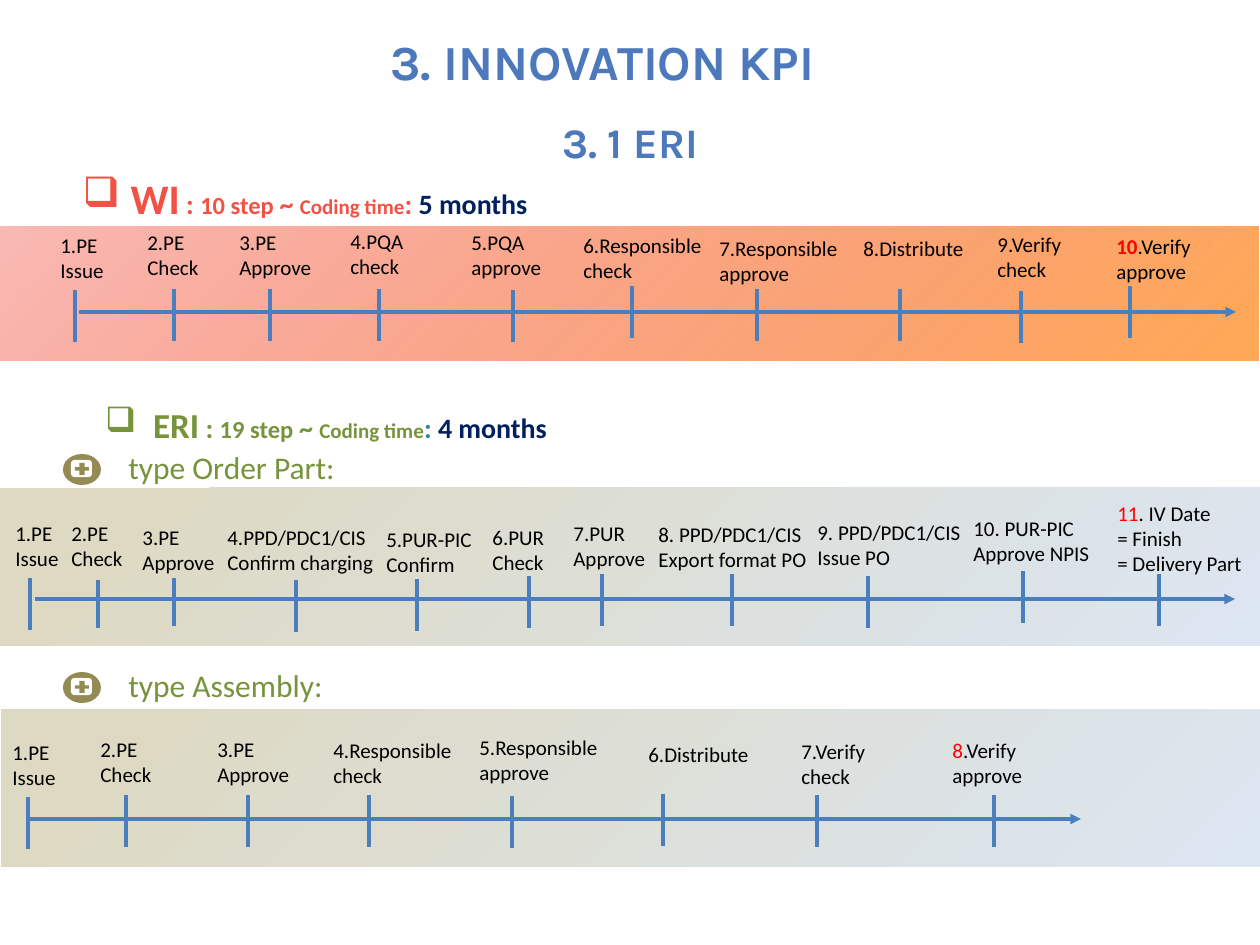
import pptx
import pptx.util
import pptx.dml.color
import pptx.enum.shapes
import pptx.enum.text
import pptx.oxml
import pptx.oxml.ns

SHAPES = pptx.enum.shapes.MSO_SHAPE
ALIGN = pptx.enum.text.PP_ALIGN
PX_PER_INCH = 126
BLUE, NAVY, RED, BLACK, WHITE = "4B7EBC", "002060", "FF0000", "000000", "FFFFFF"
CORAL, GREEN, TEAL, KHAKI = "F25245", "77933C", "31859C", "948A54"
TITLE_BLUE = "4D79BC"

# text, box, size
TITLES = [
    ("3. INNOVATION KPI", (-28, 24, 1260, 73), 28),
    ("3. 1 ERI", (0, 105, 1260, 73), 24),
]

# box, then spans of text, size, colour
HEADINGS = [
    ((26, 166, 558, 63), [
        ("WI", 24, CORAL), (" : ", 16, CORAL), ("10 step ", 14, CORAL), ("~ ", 16, CORAL),
        ("Coding time", 12, CORAL), (": ", 16, CORAL), ("5 months", 16, NAVY)]),
    ((47, 397, 558, 55), [
        ("ERI", 20, GREEN), (" : ", 16, GREEN), ("19 step ", 14, GREEN), ("~ ", 16, GREEN),
        ("Coding time", 12, GREEN), (": ", 16, TEAL), ("4 months", 16, NAVY)]),
]

# text, text top, icon top
TYPES = [("type Order Part:", 442, 454), ("type Assembly:", 660, 672)]

SAND = [(0.11, "DDD9C3", 100), (1, "DCE6F2", 100)]

# steps: lines, (text left, text top, text width), (tick x, tick top, tick length)
TIMELINES = [
    {
        "band": (0, 227, 1259, 134), "stops": [(0, CORAL, 40), (1, "FFA956", 100)],
        "arrow": (79, 1236, 312), "bold_last": True,
        "steps": [
            (["1.PE", "Issue"], (48, 226, 161), (75, 290, 52)),
            (["2.PE", "Check"], (135, 223, 161), (174, 289, 52)),
            (["3.PE", "Approve"], (227, 223, 161), (270, 289, 52)),
            (["4.PQA", "check"], (338, 222, 161), (379, 289, 52)),
            (["5.PQA", "approve"], (459, 223, 161), (513, 290, 52)),
            (["6.Responsible check"], (571, 226, 161), (632, 286, 52)),
            (["7.Responsible", "approve"], (707, 229, 161), (757, 289, 52)),
            (["8.Distribute"], (851, 229, 161), (900, 289, 52)),
            (["9.Verify", "check"], (985, 225, 110), (1021, 291, 52)),
            (["10.Verify", "approve"], (1104, 227, 161), (1130, 286, 52)),
        ],
    },
    {
        "band": (0, 488, 1265, 158), "stops": SAND,
        "arrow": (35, 1235, 599), "bold_last": False,
        "steps": [
            (["1.PE", "Issue"], (3, 514, 73), (30, 578, 52)),
            (["2.PE", "Check"], (59, 514, 86), (98, 580, 48)),
            (["3.PE", "Approve"], (130, 518, 160), (174, 578, 48)),
            (["4.PPD/PDC1/CIS", "Confirm charging"], (215, 518, 179), (296, 580, 52)),
            (["5.PUR-PIC", "Confirm"], (374, 520, 113), (417, 579, 52)),
            (["6.PUR", "Check"], (480, 518, 97), (529, 576, 52)),
            (["7.PUR", "Approve"], (561, 514, 107), (602, 574, 52)),
            (["8. PPD/PDC1/CIS", "Export format PO"], (646, 515, 189), (732, 574, 52)),
            (["9. PPD/PDC1/CIS", "Issue PO"], (805, 513, 174), (868, 576, 52)),
            (["10. PUR-PIC", "Approve NPIS"], (961, 509, 161), (1023, 571, 52)),
            (["11. IV Date", "= Finish", "= Delivery Part"], (1105, 494, 163), (1159, 574, 52)),
        ],
    },
    {
        "band": (1, 709, 1263, 158), "stops": SAND,
        "arrow": (26, 1081, 819), "bold_last": False,
        "steps": [
            (["1.PE", "Issue"], (0, 733, 77), (28, 797, 52)),
            (["2.PE", "Check"], (88, 730, 162), (126, 795, 52)),
            (["3.PE", "Approve"], (205, 730, 162), (248, 795, 52)),
            (["4.Responsible check"], (321, 731, 162), (369, 795, 52)),
            (["5.Responsible", "approve"], (467, 728, 162), (512, 796, 52)),
            (["6.Distribute"], (636, 735, 162), (663, 794, 52)),
            (["7.Verify", "check"], (789, 732, 103), (817, 795, 52)),
            (["8.Verify", "approve"], (940, 731, 162), (994, 795, 52)),
        ],
    },
]


def px(*lengths):
    return [round(length * 914400 / PX_PER_INCH) for length in lengths]


def rgb(colour):
    return pptx.dml.color.RGBColor.from_string(colour)


def add_xml(parent, tag, **attributes):
    child = pptx.oxml.parse_xml(f"<{tag} {pptx.oxml.ns.nsdecls('a')}/>")
    for name, value in attributes.items():
        child.set(name, str(value))
    parent.append(child)


def set_font(font, size=None, colour=None, name=None, bold=None):
    if size:
        font.size = pptx.util.Pt(size)
    if colour:
        font.color.rgb = rgb(colour)
    if name:
        font.name = name
    if bold is not None:
        font.bold = bold


def add_text(slide, box, lines, size, colour, name="Calibri", bold=False):
    frame = slide.shapes.add_textbox(*px(*box)).text_frame
    frame.word_wrap = True
    for number, line in enumerate(lines):
        para = frame.add_paragraph() if number else frame.paragraphs[0]
        para.text = line
        set_font(para.font, size, colour, name, bold)
    return frame


def add_shape(slide, preset, box, colour=None):
    shape = slide.shapes.add_shape(preset, *px(*box))
    shape.shadow.inherit = False
    shape.line.fill.background()
    if colour:
        shape.fill.solid()
        shape.fill.fore_color.rgb = rgb(colour)
    return shape


def add_line(slide, start, end, arrow=False):
    line = slide.shapes.add_connector(
        pptx.enum.shapes.MSO_CONNECTOR.STRAIGHT, *px(*start, *end))
    line.line.color.rgb = rgb(BLUE)
    line.line.width = pptx.util.Pt(2)
    if arrow:
        add_xml(line.line._get_or_add_ln(), "a:tailEnd", type="triangle")
    add_xml(line._element.spPr, "a:effectLst")


def add_band(slide, box, stops):
    band = add_shape(slide, SHAPES.RECTANGLE, box)
    band.fill.gradient()
    band.fill.gradient_angle = 315
    for stop, (position, colour, opacity) in zip(band.fill.gradient_stops, stops):
        stop.position = position
        stop.color.rgb = rgb(colour)
        if opacity < 100:
            add_xml(stop._gs.find(pptx.oxml.ns.qn("a:srgbClr")), "a:alpha", val=opacity * 1000)


def add_timeline(slide, timeline):
    """Draw band, arrow, ticks and labels; the last step's number is red."""
    add_band(slide, timeline["band"], timeline["stops"])
    left, right, middle = timeline["arrow"]
    add_line(slide, (left, middle), (right, middle), arrow=True)
    for lines, (text_left, text_top, width), (x, top, length) in timeline["steps"]:
        add_line(slide, (x, top), (x, top + length))
        frame = add_text(slide, (text_left, text_top, width, 12 + 26 * len(lines)),
                         lines, 12, BLACK)
    para = frame.paragraphs[0]
    number, rest = para.text.split(".", 1)
    para.runs[0].text = number
    set_font(para.runs[0].font, colour=RED, bold=timeline["bold_last"])
    para.add_run().text = "." + rest


def add_heading(slide, box, spans):
    frame = add_text(slide, box, [""], spans[0][1], spans[0][2], bold=True)
    para = frame.paragraphs[0]
    para.alignment = ALIGN.CENTER
    for text, size, colour in spans:
        span = para.add_run()
        span.text = text
        set_font(span.font, size, colour)
    properties = para._p.get_or_add_pPr()
    indent = px(48)[0]
    properties.set("marL", str(indent))
    properties.set("indent", str(-indent))
    bullet = pptx.oxml.parse_xml(f'<a:buChar {pptx.oxml.ns.nsdecls("a")} char="❑"/>')
    properties.insert(0, bullet)


def add_plus_icon(slide, top):
    add_shape(slide, SHAPES.OVAL, (63, top, 38, 31), KHAKI)
    plate = add_shape(slide, SHAPES.ROUNDED_RECTANGLE, (71, top + 6, 21, 17), WHITE)
    plate.adjustments[0] = 0.2
    plus = add_shape(slide, SHAPES.CROSS, (75, top + 9, 14, 12), KHAKI)
    plus.adjustments[0] = 0.36


def main():
    deck = pptx.Presentation()
    deck.slide_width, deck.slide_height = px(1260, 945)
    slide = deck.slides.add_slide(deck.slide_layouts[6])
    for text, box, size in TITLES:
        frame = add_text(slide, box, [text], size, TITLE_BLUE, "Karla", True)
        frame.vertical_anchor = pptx.enum.text.MSO_ANCHOR.MIDDLE
        frame.paragraphs[0].alignment = ALIGN.CENTER
    for timeline in TIMELINES:
        add_timeline(slide, timeline)
    for box, spans in HEADINGS:
        add_heading(slide, box, spans)
    for text, text_top, icon_top in TYPES:
        add_plus_icon(slide, icon_top)
        add_text(slide, (116, text_top, 401, 50), [text], 18, GREEN)
    deck.save("out.pptx")


if __name__ == "__main__":
    main()
